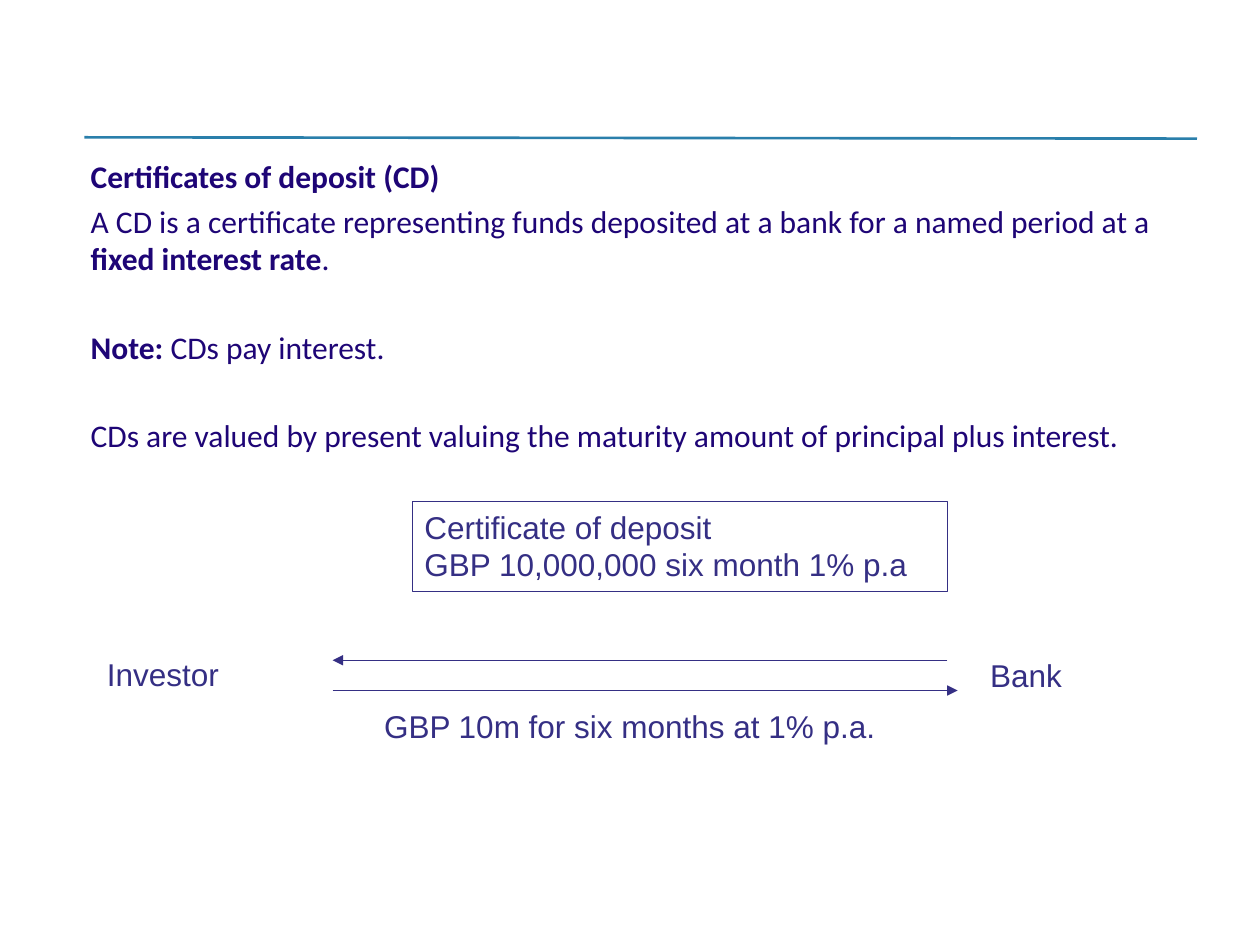
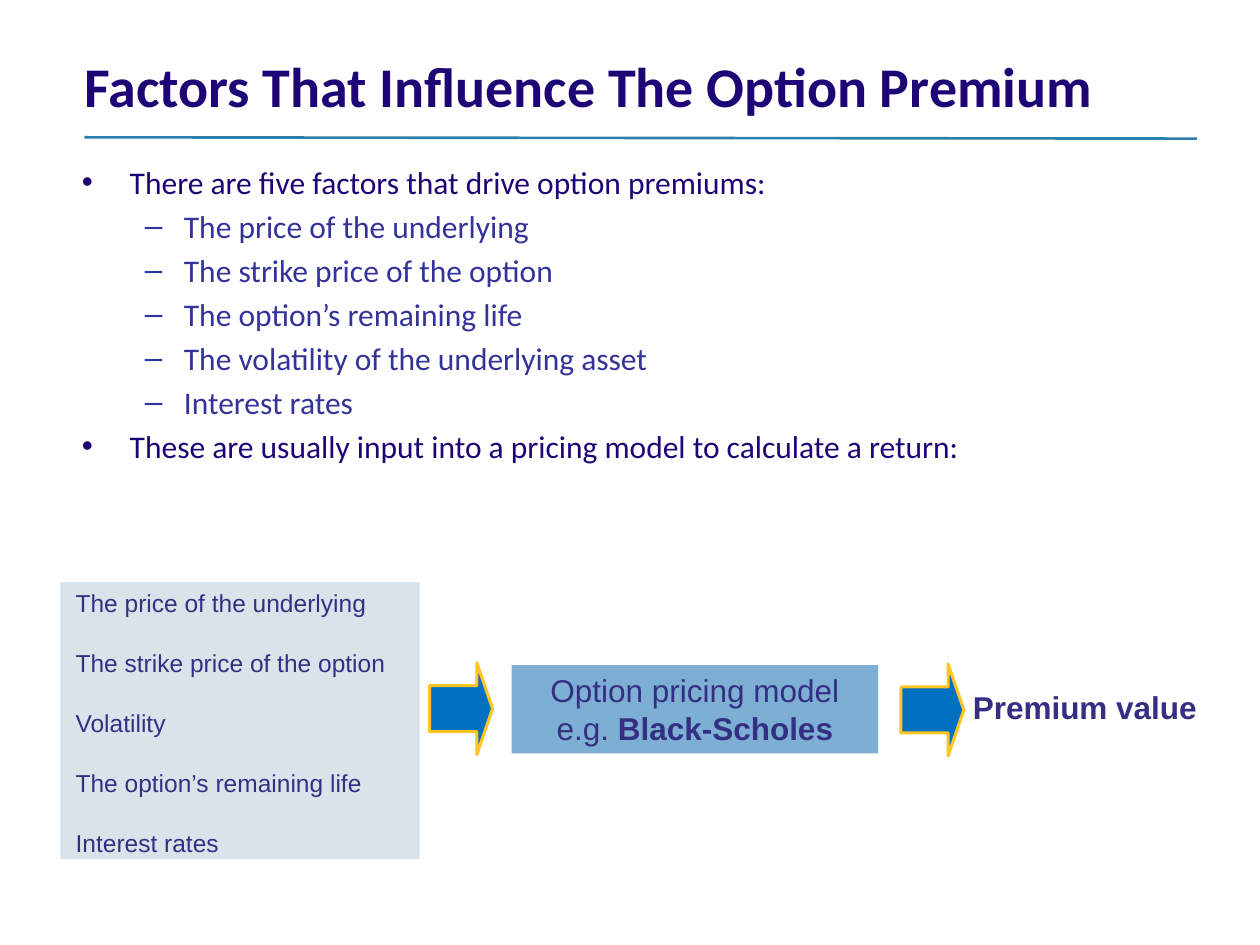
from lxml import etree
from pptx import Presentation
from pptx.dml.color import RGBColor
from pptx.enum.shapes import MSO_CONNECTOR, MSO_SHAPE
from pptx.enum.text import MSO_ANCHOR, MSO_AUTO_SIZE, PP_ALIGN
from pptx.oxml.ns import qn
from pptx.util import Inches, Pt

# Shared constants
LINE = MSO_CONNECTOR.STRAIGHT
RECT, ARROW = MSO_SHAPE.RECTANGLE, MSO_SHAPE.RIGHT_ARROW
TOP, MIDDLE = MSO_ANCHOR.TOP, MSO_ANCHOR.MIDDLE
LEFT, CENTER = PP_ALIGN.LEFT, PP_ALIGN.CENTER
NONE = MSO_AUTO_SIZE.NONE

NAVY = RGBColor(0x1E, 0x05, 0x76)
INDIGO = RGBColor(0x35, 0x2F, 0x84)
VIOLET = RGBColor(0x33, 0x33, 0x99)
TEAL = RGBColor(0x2A, 0x7F, 0xAB)
WHITE = RGBColor(0xFF, 0xFF, 0xFF)
SKY = RGBColor(0x7D, 0xAE, 0xD3)
MIST = RGBColor(0xDA, 0xE3, 0xEA)
BLUE = RGBColor(0x00, 0x70, 0xC0)
GOLD = RGBColor(0xFF, 0xC4, 0x25)

BODY = {"name": "Calibri", "size": Pt(18)}
LABEL = {"name": "Arial", "size": Pt(18)}
SMALL = {"name": "Arial", "size": Pt(14)}
HEAD = {"name": "Calibri", "size": Pt(32)}
GAP = 3.6


def write(shape, paras, form, color=INDIGO, gap=0, align=LEFT, anchor=TOP, inset=(0.1, 0.05)):
    """Fill a shape with paragraphs, each a list of (text, bold) runs."""
    frame = shape.text_frame
    frame.word_wrap, frame.auto_size = True, NONE
    frame.vertical_anchor = anchor
    frame.margin_left = frame.margin_right = Inches(inset[0])
    frame.margin_top = frame.margin_bottom = Inches(inset[1])
    for i, runs in enumerate(paras):
        para = frame.add_paragraph() if i else frame.paragraphs[0]
        para.alignment = align
        para.space_before = Pt(gap if i else 0)
        for text, bold in runs:
            run = para.add_run()
            run.text = text
            for key, value in form.items():
                setattr(run.font, key, value)
            run.font.bold = bold
            run.font.color.rgb = color
    return frame


def draw(slide, start, end, color, width, head=False):
    """Draw a straight line, with an arrowhead at its end if asked."""
    line = slide.shapes.add_connector(LINE, *map(Inches, start + end))
    line.line.color.rgb = color
    line.line.width = Pt(width)
    if head:
        etree.SubElement(line.line._get_or_add_ln(), qn("a:tailEnd"), type="triangle")
    etree.SubElement(line._element.spPr, qn("a:effectLst"))


prs = Presentation()
prs.slide_width, prs.slide_height = Inches(10), Inches(7.5)

# Slides with the rule under the title area
deposit = prs.slides.add_slide(prs.slide_layouts[6])
option = prs.slides.add_slide(prs.slide_layouts[5])
for slide in (deposit, option):
    draw(slide, (0.67, 1.09), (9.5, 1.1), TEAL, 1.5)

# Slide 1: definition
box = deposit.shapes.add_textbox(*map(Inches, (0.72, 1.25, 8.6, 2.5)))
frame = write(box, [
    [("Certificates of deposit (CD)", True)],
    [("A CD is a certificate representing funds deposited at a bank for a named period at a ", False),
     ("fixed interest rate", True), (".", False)],
    [("Note:", True), (" CDs pay interest.", False)],
    [("CDs are valued by present valuing the maturity amount of principal plus interest.", False)],
], BODY, NAVY, GAP, inset=(0, 0))
for para in frame.paragraphs[2:]:
    para.space_before = Pt(29)

# Slide 1: certificate and the flows between investor and bank
card = deposit.shapes.add_shape(RECT, *map(Inches, (3.27, 3.98, 4.25, 0.71)))
card.shadow.inherit = False
card.fill.solid()
card.fill.fore_color.rgb = WHITE
card.line.color.rgb = INDIGO
card.line.width = Pt(0.25)
write(card, [[("Certificate of deposit", False)],
             [("GBP 10,000,000 six month 1% p.a", False)]], LABEL)

for text, place in (
    ("Investor", (0.75, 5.15, 2.2, 0.4)),
    ("Bank", (7.76, 5.16, 2.2, 0.4)),
    ("GBP 10m for six months at 1% p.a.", (2.95, 5.56, 5.75, 0.4)),
):
    write(deposit.shapes.add_textbox(*map(Inches, place)), [[(text, False)]], LABEL)

draw(deposit, (2.64, 5.48), (7.6, 5.48), INDIGO, 0.25, head=True)
draw(deposit, (7.52, 5.24), (2.64, 5.24), INDIGO, 0.25, head=True)

# Slide 2: title
title = option.shapes.title
title.left, title.top, title.width, title.height = map(Inches, (0.67, 0.28, 8.82, 0.79))
write(title, [[("Factors That Influence The Option Premium", True)]],
      HEAD, NAVY, anchor=MIDDLE, inset=(0, 0))

# Slide 2: bulleted factors
points = (
    (0, "There are five factors that drive option premiums:"),
    (1, "The price of the underlying"),
    (1, "The strike price of the option"),
    (1, "The option’s remaining life"),
    (1, "The volatility of the underlying asset"),
    (1, "Interest rates"),
    (0, "These are usually input into a pricing model to calculate a return:"),
)
levels = (("•", 0.38, 0.38, NAVY), ("–", 0.81, 0.31, VIOLET))
box = option.shapes.add_textbox(*map(Inches, (0.65, 1.29, 9, 2.5)))
frame = write(box, [[(text, False)] for _, text in points], BODY, NAVY, GAP, inset=(0, 0))
for para, (level, _) in zip(frame.paragraphs, points):
    mark, left, hang, color = levels[level]
    para.level = level
    para.runs[0].font.color.rgb = color
    props = para._p.get_or_add_pPr()
    props.set("marL", str(Inches(left)))
    props.set("indent", str(-Inches(hang)))
    etree.SubElement(props, qn("a:buFont"), typeface="Arial")
    etree.SubElement(props, qn("a:buChar"), char=mark)

# Slide 2: inputs, model and result
inputs = ("The price of the underlying", "The strike price of the option", "Volatility",
          "The option’s remaining life", "Interest rates")
model = [[("Option pricing model", False)], [("e.g. ", False), ("Black-Scholes", True)]]
for place, fill, paras, style in (
    ((0.48, 4.62, 2.85, 2.2), MIST, [[(text, False)] for text in inputs],
     {"form": SMALL, "gap": 17.4, "inset": (0.12, 0.05)}),
    ((4.06, 5.28, 2.91, 0.7), SKY, model, {"form": LABEL, "align": CENTER}),
):
    panel = option.shapes.add_shape(RECT, *map(Inches, place))
    panel.shadow.inherit = False
    panel.fill.solid()
    panel.fill.fore_color.rgb = fill
    panel.line.fill.background()
    write(panel, paras, **style)

for left, top in ((3.41, 5.26), (7.15, 5.27)):
    arrow = option.shapes.add_shape(ARROW, *map(Inches, (left, top, 0.5, 0.73)))
    arrow.adjustments[0], arrow.adjustments[1] = 0.5, 0.25
    arrow.shadow.inherit = False
    arrow.fill.solid()
    arrow.fill.fore_color.rgb = BLUE
    arrow.line.color.rgb = GOLD
    arrow.line.width = Pt(1.75)

value = option.shapes.add_textbox(*map(Inches, (7.39, 5.41, 2.44, 0.4)))
write(value, [[("Premium value", True)]], LABEL, align=CENTER)

prs.save("out.pptx")
